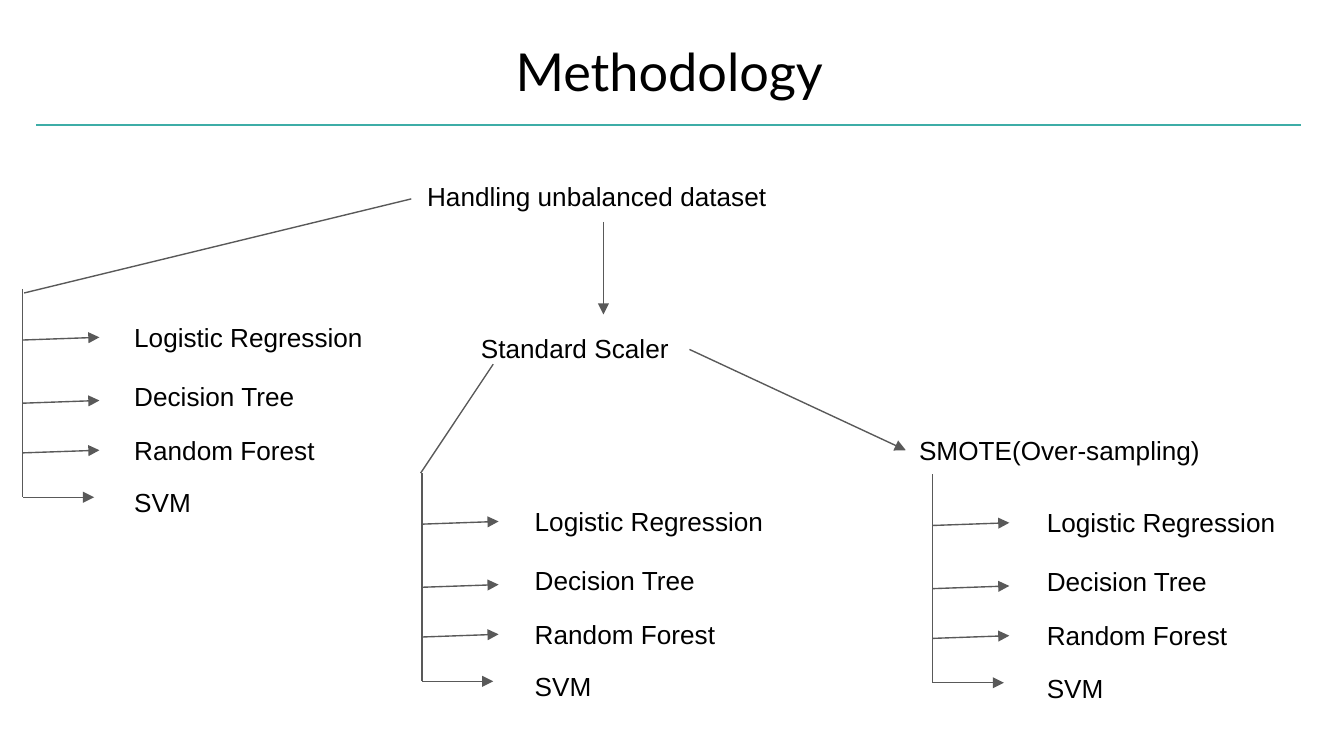
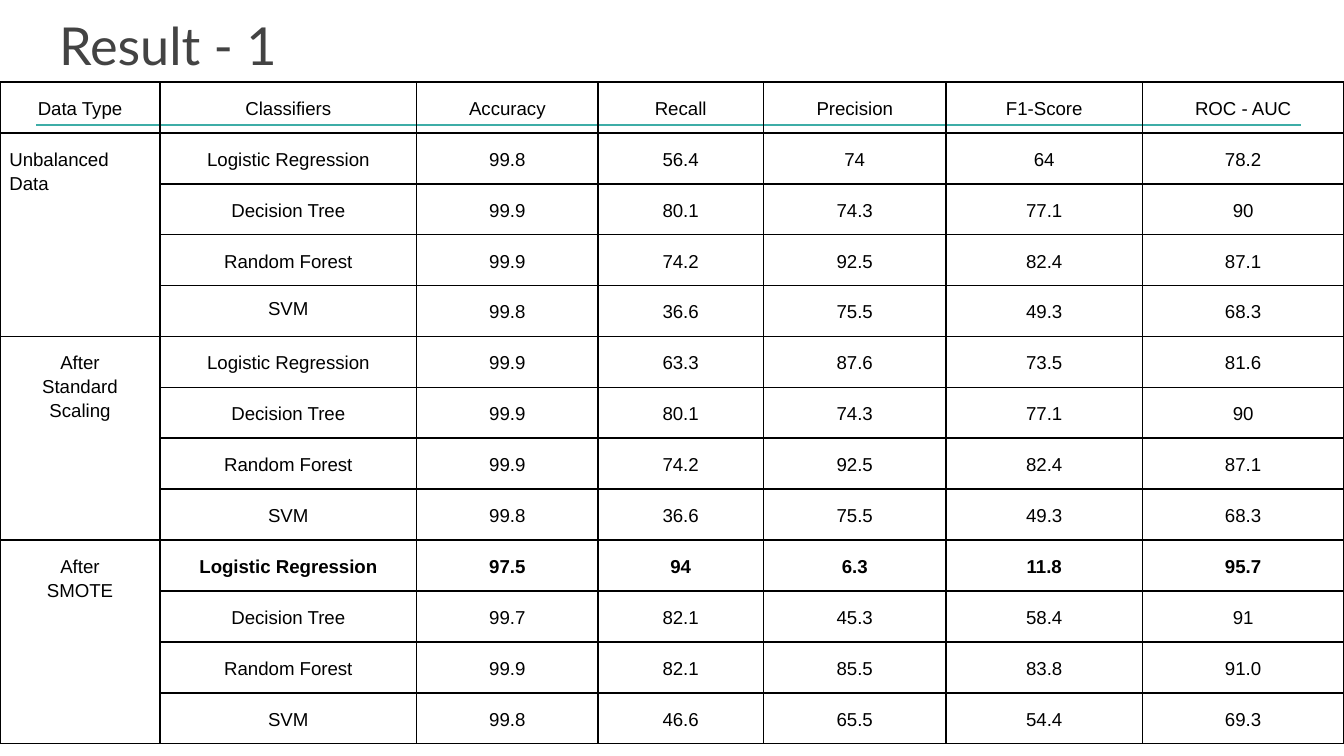
from lxml import etree
from pptx import Presentation
from pptx import util as u
from pptx.dml.color import RGBColor
from pptx.enum import shapes, text
from pptx.oxml import ns

WIDTH = 10
HEIGHT = WIDTH * 9 / 16
BLACK = RGBColor(0x00, 0x00, 0x00)
CHARCOAL = RGBColor(0x43, 0x43, 0x43)
ARROW_GREY = RGBColor(0x59, 0x59, 0x59)
TEAL = RGBColor(0x3E, 0xAD, 0xA7)

CLASSIFIERS = ["Logistic Regression", "Decision Tree", "Random Forest", "SVM"]

# Methodology: (label, left, top, width, height)
STAGES = [
    ("Handling unbalanced dataset", 3.08, 1.24, 2.87, 0.45),
    ("Standard Scaler", 3.48, 2.37, 2.5, 0.54),
    ("SMOTE(Over-sampling)", 6.74, 3.13, 2.76, 0.45),
]
# (start, end, has arrowhead)
LINKS = [
    ((4.49, 1.65), (4.49, 2.34), True),
    ((3.06, 1.48), (0.18, 2.18), False),
    ((3.67, 2.71), (3.13, 3.52), False),
    ((5.13, 2.6), (6.74, 3.35), True),
]
# (trunk x, trunk top, gap from trunk to labels)
BRANCHES = [(0.17, 2.15, 0.73), (3.14, 3.52, 0.74), (6.94, 3.53, 0.75)]
TRUNK_LENGTH = 1.55
# For each classifier, below the trunk top: arrow, arrow rise, arrow length, label
TWIGS = [
    (0.38, 0.02, 0.57, 0.14),
    (0.85, 0.02, 0.57, 0.58),
    (1.22, 0.02, 0.57, 0.98),
    (1.55, 0, 0.53, 1.37),
]

# Result
HEADINGS = ["Data Type", "Classifiers", "Accuracy", "Recall", "Precision",
            "F1-Score", "ROC - AUC"]
COLUMN_WIDTHS = [1.19, 1.91, 1.35, 1.23, 1.36, 1.46, 1.5]
ROW_HEIGHT = 0.36
TABLE_TOP = 0.61
# One row of scores for each classifier
SCORES = {
    "Unbalanced Data": [
        "99.8 56.4 74 64 78.2",
        "99.9 80.1 74.3 77.1 90",
        "99.9 74.2 92.5 82.4 87.1",
        "99.8 36.6 75.5 49.3 68.3",
    ],
    "After\nStandard Scaling": [
        "99.9 63.3 87.6 73.5 81.6",
        "99.9 80.1 74.3 77.1 90",
        "99.9 74.2 92.5 82.4 87.1",
        "99.8 36.6 75.5 49.3 68.3",
    ],
    "After\nSMOTE": [
        "97.5 94 6.3 11.8 95.7",
        "99.7 82.1 45.3 58.4 91",
        "99.9 82.1 85.5 83.8 91.0",
        "99.8 46.6 65.5 54.4 69.3",
    ],
}
BEST = ("After\nSMOTE", "Logistic Regression")
LEFT_ALIGNED = "Unbalanced Data"
SINGLE_SPACED = ("Unbalanced Data", "SVM")

FRAME = dict(word_wrap=True, auto_size=text.MSO_AUTO_SIZE.NONE,
             vertical_anchor=text.MSO_ANCHOR.TOP,
             **{f"margin_{side}": u.Inches(0.1)
                for side in ("left", "right", "top", "bottom")})
CELL = dict(margin_left=u.Inches(0.07), margin_right=u.Inches(0.07),
            margin_top=u.Inches(0.1), margin_bottom=u.Inches(0.1),
            vertical_anchor=text.MSO_ANCHOR.TOP)


def set_all(target, values):
    for name, value in values.items():
        setattr(target, name, value)


def write(frame, words, size, font="Arial", color=BLACK, bold=False,
          align=text.PP_ALIGN.LEFT, spacing=1.0):
    frame.text = words
    for paragraph in frame.paragraphs:
        set_all(paragraph, dict(alignment=align, line_spacing=spacing))
        for run in paragraph.runs:
            set_all(run.font, dict(name=font, size=u.Pt(size), bold=bold))
            run.font.color.rgb = color


def place(shape, left, top, width, height):
    set_all(shape, dict(left=u.Inches(left), top=u.Inches(top),
                        width=u.Inches(width), height=u.Inches(height)))


def add_line(slide, start, end, arrow=False, color=ARROW_GREY):
    ends = [u.Inches(value) for value in (*start, *end)]
    line = slide.shapes.add_connector(shapes.MSO_CONNECTOR.STRAIGHT, *ends)
    line.line.color.rgb = color
    line.line.width = u.Pt(0.75)
    if arrow:
        etree.SubElement(line.get_or_add_ln(), ns.qn("a:tailEnd"), type="triangle")
    etree.SubElement(line.element.spPr, ns.qn("a:effectLst"))
    return line


def add_label(slide, words, left, top, width=2.02, height=0.45):
    label = slide.shapes.add_textbox(0, 0, 0, 0)
    place(label, left, top, width, height)
    set_all(label.text_frame, FRAME)
    write(label.text_frame, words, 14)


def add_slide(prs, layout, title, left, top, **style):
    slide = prs.slides.add_slide(layout)
    place(slide.shapes.title, left, top, 9.32, 0.63)
    set_all(slide.shapes.title.text_frame, FRAME)
    write(slide.shapes.title.text_frame, title, 28, font="Lato", **style)
    return slide


def draw_methodology(slide):
    for stage in STAGES:
        add_label(slide, *stage)
    for link in LINKS:
        add_line(slide, *link)
    for x, top, gap in BRANCHES:
        add_line(slide, (x, top), (x, top + TRUNK_LENGTH))
        for classifier, (drop, rise, length, label_drop) in zip(CLASSIFIERS, TWIGS):
            y = top + drop
            add_line(slide, (x, y), (x + length, y - rise), arrow=True)
            add_label(slide, classifier, x + gap, top + label_drop)


def add_borders(cell):
    properties = cell._tc.get_or_add_tcPr()
    for position, side in enumerate(("lnL", "lnR", "lnT", "lnB")):
        border = etree.Element(ns.qn(f"a:{side}"), w=str(u.Pt(1)))
        fill = etree.SubElement(border, ns.qn("a:solidFill"))
        etree.SubElement(fill, ns.qn("a:srgbClr"), val=str(BLACK))
        properties.insert(position, border)


def draw_results(slide):
    rows = [HEADINGS]
    best_row = single_row = None
    for data_type, scores in SCORES.items():
        for classifier, values in zip(CLASSIFIERS, scores):
            if (data_type, classifier) == BEST:
                best_row = len(rows)
            if (data_type, classifier) == SINGLE_SPACED:
                single_row = len(rows)
            first = classifier == CLASSIFIERS[0]
            rows.append([data_type if first else "", classifier, *values.split()])

    table = slide.shapes.add_table(
        len(rows), len(HEADINGS), 0, u.Inches(TABLE_TOP),
        u.Inches(WIDTH), u.Inches(ROW_HEIGHT * len(rows))).table
    set_all(table, dict(first_row=False, horz_banding=False))
    for column, width in zip(table.columns, COLUMN_WIDTHS):
        column.width = u.Inches(width)

    for r, row in enumerate(rows):
        table.rows[r].height = u.Inches(ROW_HEIGHT)
        for c, words in enumerate(row):
            cell = table.cell(r, c)
            set_all(cell, CELL)
            cell.fill.background()
            add_borders(cell)
            write(cell.text_frame, words, 10, bold=r == best_row and c > 0,
                  align=text.PP_ALIGN.LEFT if words == LEFT_ALIGNED
                  else text.PP_ALIGN.CENTER,
                  spacing=1.0 if (r, c) == (single_row, 1) else 1.15)

    group = len(CLASSIFIERS)
    for top in range(1, len(rows), group):
        table.cell(top, 0).merge(table.cell(top + group - 1, 0))


def main():
    prs = Presentation()
    prs.slide_width, prs.slide_height = u.Inches(WIDTH), u.Inches(HEIGHT)
    layout = prs.slide_layouts[5]

    methodology = add_slide(prs, layout, "Methodology", 0.32, 0.19,
                            align=text.PP_ALIGN.CENTER)
    # The teal rule belongs to the layout, so both slides show it
    rule = add_line(methodology, (0.27, 0.93), (9.68, 0.93), color=TEAL)
    layout.shapes.element.append(rule.element)
    draw_methodology(methodology)

    draw_results(add_slide(prs, layout, "Result - 1", 0.34, 0, color=CHARCOAL))
    prs.save("out.pptx")


if __name__ == "__main__":
    main()
